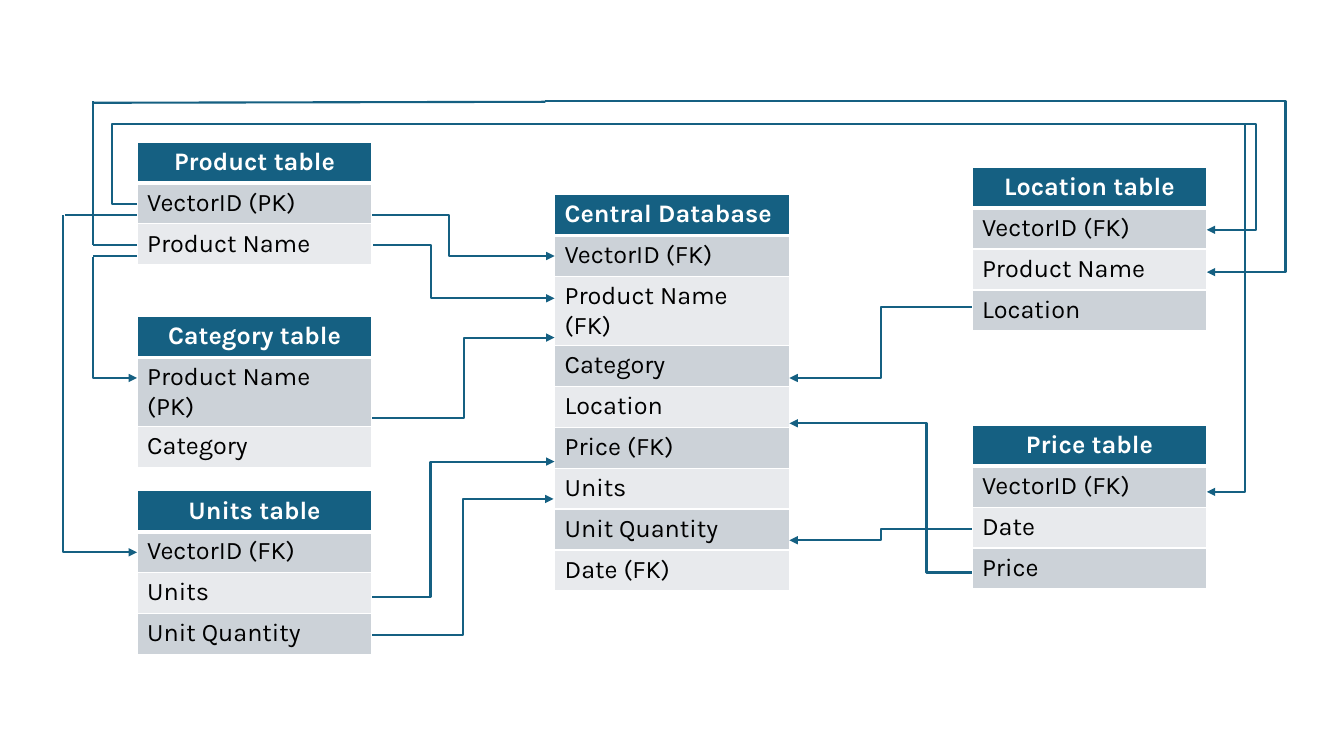
from dataclasses import dataclass

import lxml.etree
import pptx
import pptx.dml.color
import pptx.enum.shapes
import pptx.enum.text
import pptx.oxml.ns
import pptx.util

Inches = pptx.util.Inches
Point = tuple[float, float]

COLORS = {
    "accent": "156082",
    "odd_row": "CCD2D8",
    "even_row": "E8EAED",
    "white": "FFFFFF",
    "black": "000000",
}
FONT = "Karla"
TABLE_WIDTH = 2.33
ROW_HEIGHT = pptx.util.Pt(29.2)
LEFT, CENTER, RIGHT = 1.36, 5.5, 9.64  # left edges of the three columns


@dataclass
class EntityTable:
    left: float
    top: float
    title: str
    fields: list[str]
    centered_title: bool = True


@dataclass
class Link:
    """A connector; with turn_x it runs sideways to turn_x, then vertically, then to its end."""
    start: Point
    end: Point
    turn_x: float | None = None
    arrow: str | None = "tailEnd"


TABLES = [
    EntityTable(LEFT, 1.41, "Product table", ["VectorID (PK)", "Product Name"]),
    EntityTable(LEFT, 3.14, "Category table", ["Product Name (PK)", "Category"]),
    EntityTable(LEFT, 4.87, "Units table", ["VectorID (FK)", "Units", "Unit Quantity"]),
    EntityTable(RIGHT, 1.66, "Location table", ["VectorID (FK)", "Product Name", "Location"]),
    EntityTable(RIGHT, 4.22, "Price table", ["VectorID (FK)", "Date", "Price"]),
    EntityTable(CENTER, 1.93, "Central Database",
                ["VectorID (FK)", "Product Name (FK)", "Category", "Location", "Price (FK)",
                 "Units", "Unit Quantity", "Date (FK)"], centered_title=False),
]

LINKS = [
    # Left tables to the central database
    Link((3.69, 2.13), (5.5, 2.54), 4.45),
    Link((3.7, 2.43), (5.5, 2.96), 4.28),
    Link((3.69, 4.15), (5.5, 3.35), 4.6),
    Link((3.69, 5.92), (5.5, 4.58), 4.27),
    Link((3.69, 6.3), (5.49, 4.95), 4.59),
    # Right tables to the central database
    Link((9.64, 3.05), (7.83, 3.75), 8.74),
    Link((9.64, 5.25), (7.83, 5.36), 8.74),
    Link((9.64, 5.68), (7.83, 4.2), 9.19),
    # Product table to the tables on the right, over the top
    Link((1.36, 2.02), (6.4, 1.23), 1.11, arrow=None),
    Link((6.4, 1.23), (11.97, 2.28), 12.46),
    Link((11.97, 4.88), (12.35, 1.23), 12.35, arrow="headEnd"),
    Link((1.36, 2.43), (0.92, 2.43), arrow=None),
    Link((0.92, 2.43), (0.92, 1), arrow=None),
    Link((0.92, 1.02), (5.41, 1.01), arrow=None),
    Link((5.41, 1), (11.97, 2.7), 12.75),
    # Product table to the tables below it
    Link((1.36, 2.54), (0.92, 2.54), arrow=None),
    Link((1.36, 3.75), (0.92, 2.55), 0.92, arrow="headEnd"),
    Link((1.36, 2.13), (0.64, 2.13), arrow=None),
    Link((1.36, 5.48), (0.63, 2.13), 0.63, arrow="headEnd"),
]


def rgb(name: str) -> pptx.dml.color.RGBColor:
    return pptx.dml.color.RGBColor.from_string(COLORS[name])


def add_element(parent, tag: str, **attributes: str):
    element = lxml.etree.SubElement(parent, pptx.oxml.ns.qn(tag))
    for name, value in attributes.items():
        element.set(name, value)
    return element


def write_text(text_frame, text: str, *, color: str = "black", bold: bool = False,
               centered: bool = False, size: float = 18) -> None:
    paragraph = text_frame.paragraphs[0]
    alignment = pptx.enum.text.PP_ALIGN
    paragraph.alignment = alignment.CENTER if centered else alignment.LEFT
    run = paragraph.add_run()
    run.text = text
    run.font.name = FONT
    run.font.size = pptx.util.Pt(size)
    run.font.bold = bold
    run.font.color.rgb = rgb(color)


def set_borders(cell, top: float = 1, bottom: float = 1) -> None:
    """Give a cell white borders, with the widths of top and bottom in points."""
    properties = cell._tc.get_or_add_tcPr()
    for side, width in {"L": 1, "R": 1, "T": top, "B": bottom}.items():
        line = add_element(properties, f"a:ln{side}", w=str(pptx.util.Pt(width)))
        add_element(add_element(line, "a:solidFill"), "a:srgbClr", val=COLORS["white"])


def add_entity_table(slide, entity: EntityTable) -> None:
    row_count = len(entity.fields) + 1
    table = slide.shapes.add_table(
        row_count, 1, Inches(entity.left), Inches(entity.top),
        Inches(TABLE_WIDTH), ROW_HEIGHT * row_count).table
    table.horz_banding = False
    for index, text in enumerate([entity.title, *entity.fields]):
        table.rows[index].height = ROW_HEIGHT
        cell = table.cell(index, 0)
        set_borders(cell, top=3 if index == 1 else 1, bottom=3 if index == 0 else 1)
        cell.fill.solid()
        if index == 0:
            cell.fill.fore_color.rgb = rgb("accent")
            write_text(cell.text_frame, text, color="white", bold=True,
                       centered=entity.centered_title)
        else:
            cell.fill.fore_color.rgb = rgb("odd_row" if index % 2 else "even_row")
            write_text(cell.text_frame, text)


def add_link(slide, link: Link) -> None:
    kinds = pptx.enum.shapes.MSO_CONNECTOR
    kind = kinds.STRAIGHT if link.turn_x is None else kinds.ELBOW
    connector = slide.shapes.add_connector(
        kind, *(Inches(value) for value in (*link.start, *link.end)))
    connector.line.color.rgb = rgb("accent")
    connector.line.width = pptx.util.Pt(1.5)
    properties = connector._element.spPr
    if link.turn_x is not None:
        share = (link.turn_x - link.start[0]) / (link.end[0] - link.start[0])
        guides = properties.find(pptx.oxml.ns.qn("a:prstGeom")).get_or_add_avLst()
        add_element(guides, "a:gd", name="adj1", fmla=f"val {round(share * 100000)}")
    if link.arrow:
        add_element(connector.line._get_or_add_ln(), f"a:{link.arrow}", type="triangle")
    add_element(properties, "a:effectLst")


def main() -> None:
    presentation = pptx.Presentation()
    presentation.slide_width = Inches(13.33)
    presentation.slide_height = Inches(7.5)
    slide = presentation.slides.add_slide(presentation.slide_layouts[6])
    for entity in TABLES:
        add_entity_table(slide, entity)
    for link in LINKS:
        add_link(slide, link)
    presentation.save("out.pptx")


if __name__ == "__main__":
    main()
